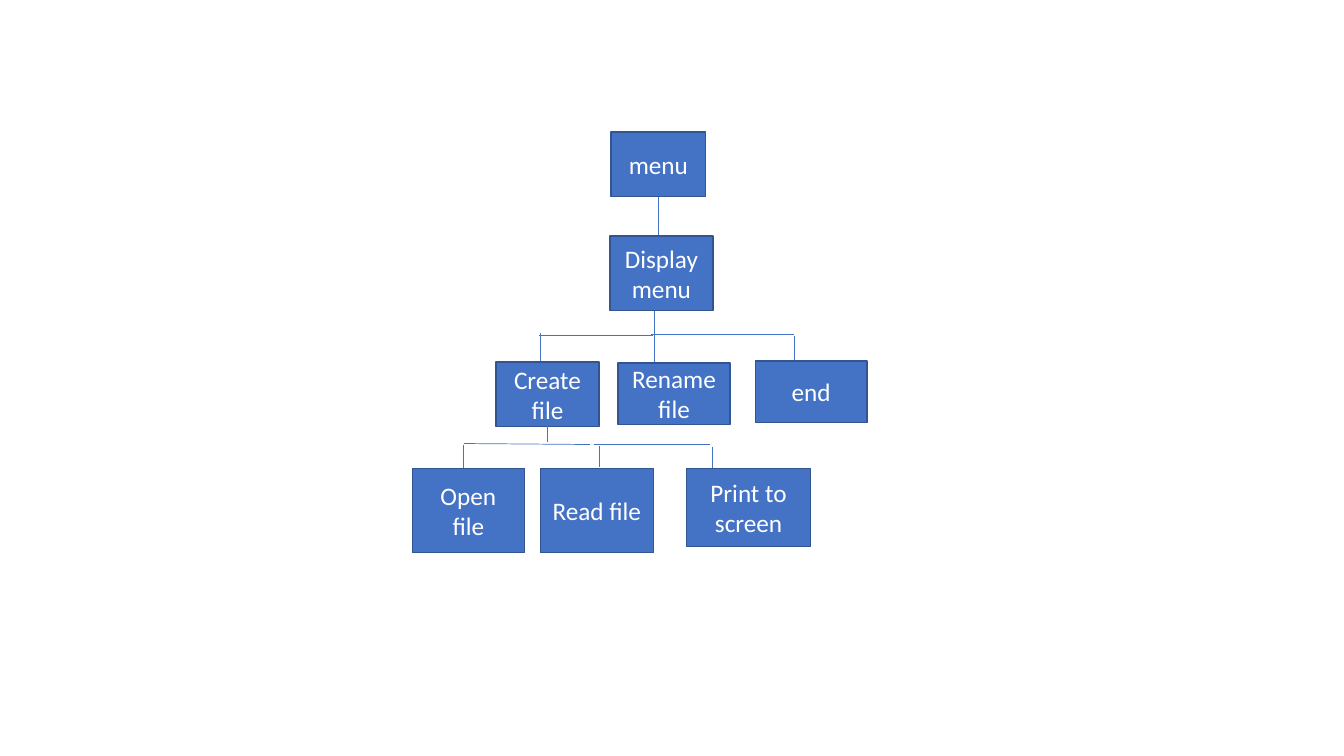
from lxml.etree import SubElement
from pptx import Presentation
from pptx.dml.color import RGBColor
from pptx.enum.shapes import MSO_CONNECTOR, MSO_SHAPE
from pptx.enum.text import MSO_ANCHOR, PP_ALIGN
from pptx.oxml.ns import qn
from pptx.util import Inches, Pt

COLORS = {"box": "4472C4", "outline": "325491", "link": "4472C4", "text": "FFFFFF"}
CELL = 0.1  # inches per grid column and row


def color(name):
    return RGBColor.from_string(COLORS[name])


def grid(cells):
    return Inches(cells * CELL)


def add_box(slide, origin, text, column, row, columns, rows):
    left, top = origin
    shape = slide.shapes.add_shape(MSO_SHAPE.RECTANGLE, grid(left + column), grid(top + row),
                                   grid(columns), grid(rows))
    shape.shadow.inherit = False
    shape.fill.solid()
    shape.fill.fore_color.rgb = color("box")
    shape.line.color.rgb = color("outline")
    shape.line.width = Pt(1)
    frame = shape.text_frame
    frame.word_wrap = True
    frame.vertical_anchor = MSO_ANCHOR.MIDDLE
    paragraph = frame.paragraphs[0]
    paragraph.text = text
    paragraph.alignment = PP_ALIGN.CENTER
    paragraph.font.name = "Calibri"
    paragraph.font.size = Pt(18)
    paragraph.font.color.rgb = color("text")


def add_link(slide, origin, start_column, start_row, end_column, end_row):
    left, top = origin
    link = slide.shapes.add_connector(
        MSO_CONNECTOR.STRAIGHT, grid(left + start_column), grid(top + start_row),
        grid(left + end_column), grid(top + end_row))
    link.line.color.rgb = color("link")
    link.line.width = Pt(0.5)
    SubElement(link._element.spPr, qn("a:effectLst"))


def add_tier(slide, origin, links, boxes):
    for link in links:
        add_link(slide, origin, *link)
    for box in boxes:
        add_box(slide, origin, *box)


def add_menu(slide, origin):
    add_tier(slide, origin,
             links=[(4.8, 6.4, 4.8, 10.3)],
             boxes=[("menu", 0.1, 0, 9.4, 6.4),
                    ("Display menu", 0, 10.3, 10.2, 7.4)])


def add_choices(slide, origin):
    stem, left_drop, right_drop = 15.7, 4.4, 29.6
    add_tier(slide, origin,
             links=[(stem, 0, stem, 5.4),
                    (4.3, 2.7, 15.6, 2.7),
                    (15.4, 2.6, right_drop, 2.6),
                    (left_drop, 2.4, left_drop, 5.3),
                    (right_drop, 2.7, right_drop, 5.3)],
             boxes=[("Create file", 0, 5.3, 10.2, 6.4),
                    ("Rename file", 12.1, 5.4, 11.1, 6.1),
                    ("end", 25.7, 5.2, 11.1, 6.1)])


def add_file_steps(slide, origin):
    stem, open_drop, read_drop, print_drop = 13.4, 5.1, 18.5, 29.8
    box_row = 4.2
    add_tier(slide, origin,
             links=[(stem, 0, stem, 1.6),
                    (open_drop, 1.7, 17.6, 1.8),
                    (18, 1.8, 29.5, 1.8),
                    (open_drop, 1.8, open_drop, 4.1),
                    (read_drop, 1.9, read_drop, 4),
                    (print_drop, 2, print_drop, 4.1)],
             boxes=[("Open file", 0, box_row, 11.1, 8.3),
                    ("Read file", 12.7, box_row, 11.2, 8.3),
                    ("Print to screen", 27.2, box_row, 12.3, 7.7)])


presentation = Presentation()
presentation.slide_width = Inches(13.33)
presentation.slide_height = Inches(7.5)
slide = presentation.slides.add_slide(presentation.slide_layouts[6])

# Tiers of the structure chart, each at its left column and top row
add_choices(slide, (49.2, 30.6))
add_menu(slide, (60.5, 13.1))
add_file_steps(slide, (40.9, 42.3))

presentation.save("out.pptx")
